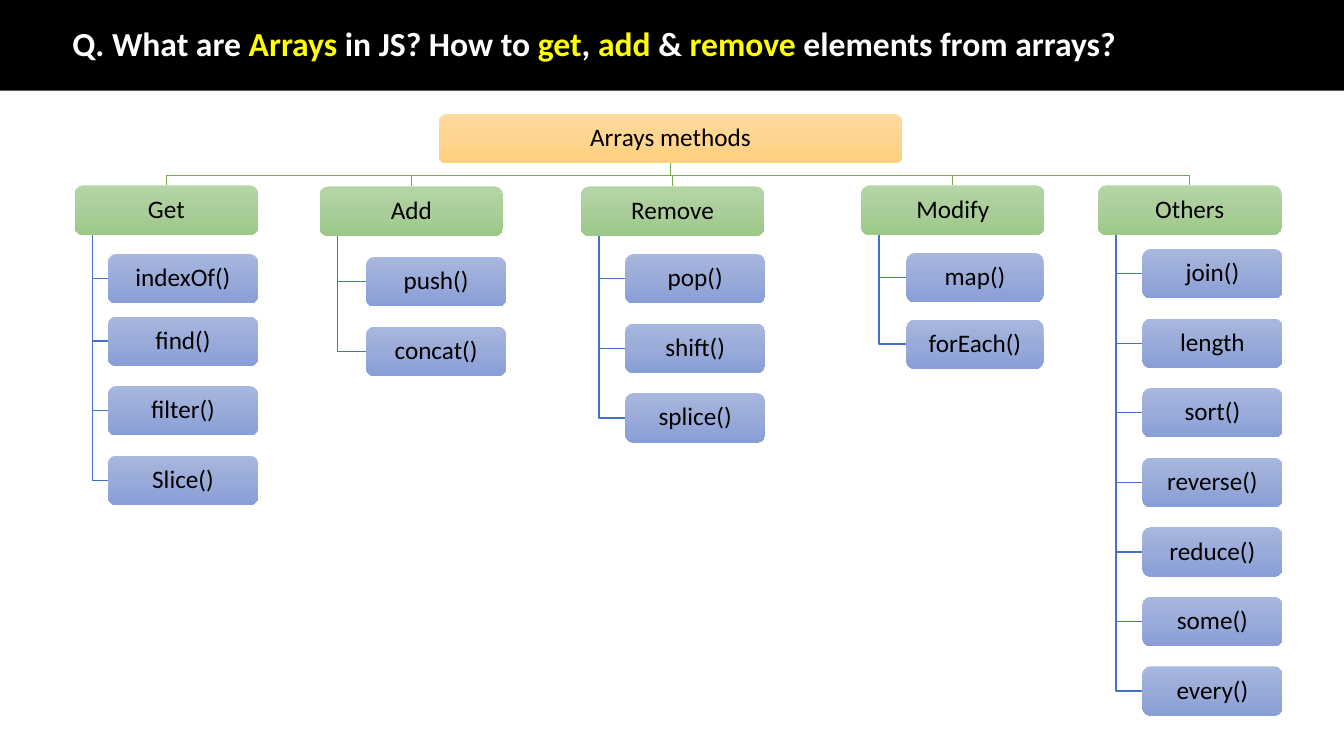
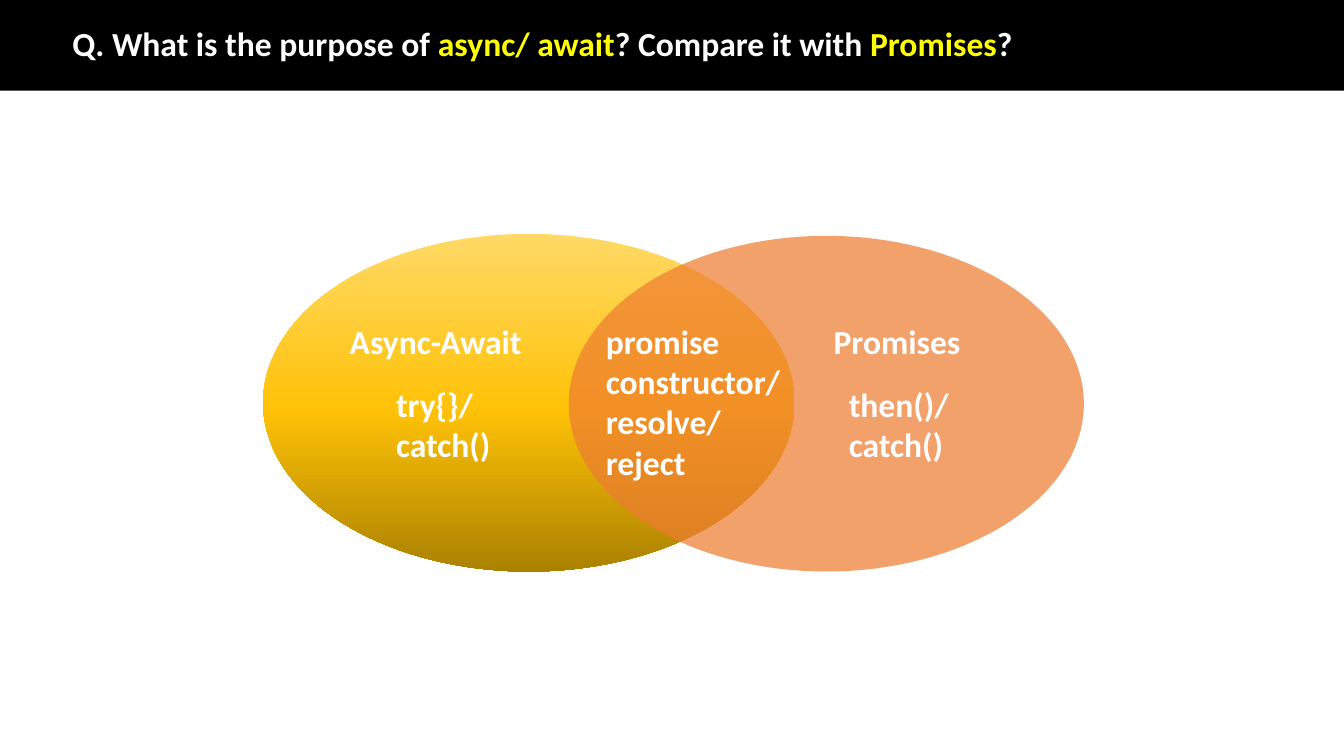
from collections import namedtuple
from copy import deepcopy

from lxml.etree import SubElement
from pptx import Presentation
from pptx.dml.color import RGBColor
from pptx.enum.shapes import MSO_SHAPE as Preset
from pptx.enum.text import MSO_ANCHOR as Anchor, PP_ALIGN as Align
from pptx.oxml.ns import qn
from pptx.util import Inches, Pt

FONT = "Calibri"
BLACK, WHITE, YELLOW = "000000", "FFFFFF", "FFFF00"
GREEN_LINE, BLUE_LINE = "70AD47", "4472C4"
ORANGE = "ED7D31"
ROOT_FILL = [(0, "FFDB9E"), (0.5, "FFD590"), (1, "FFD07C")]
GROUP_FILL = [(0, "B5D5A7"), (0.5, "AACE9A"), (1, "9CC987")]
METHOD_FILL = [(0, "A8B7DF"), (0.5, "9AABD9"), (1, "889ED7")]
GOLD_FILL = [(0, "FFD966"), (0.52, "FFC208"), (1, "AB8100")]

BOX_HEIGHT = 0.49
GROUP_WIDTH = 1.82
ROW_PITCH = 0.69
STEM_INSET = 0.18
ROOT_LEFT, ROOT_TOP, ROOT_WIDTH = 4.35, 1.13, 4.6
BUS_Y = 1.74

Group = namedtuple("Group", "name left top method_left method_width tops methods")


def rows(first, count):
    return [first + ROW_PITCH * index for index in range(count)]


GROUPS = [
    Group("Get", 0.74, 1.84, 1.07, 1.49, [2.52] + rows(3.14, 3),
          ["indexOf()", "find()", "filter()", "Slice()"]),
    Group("Add", 3.17, 1.85, 3.63, 1.39, rows(2.55, 2), ["push()", "concat()"]),
    Group("Remove", 5.76, 1.85, 6.2, 1.39, rows(2.52, 3),
          ["pop()", "shift()", "splice()"]),
    Group("Modify", 8.54, 1.84, 8.99, 1.36, [2.51, 3.17], ["map()", "forEach()"]),
    Group("Others", 10.89, 1.84, 11.33, 1.39, rows(2.47, 7),
          ["join()", "length", "sort()", "reverse()", "reduce()", "some()", "every()"]),
]


def color(value):
    return RGBColor.from_string(value)


def write(shape, runs, size, bold=False, align=Align.LEFT, spacing=1.0):
    shape.text_frame.word_wrap = True
    paragraph = shape.text_frame.paragraphs[0]
    paragraph.alignment = align
    paragraph.line_spacing = spacing
    for text, text_color in runs:
        run = paragraph.add_run()
        run.text = text
        run.font.name = FONT
        run.font.size = Pt(size)
        run.font.bold = bold
        run.font.color.rgb = color(text_color)


def add_preset(slide, preset, left, top, width, height):
    shape = slide.shapes.add_shape(
        preset, Inches(left), Inches(top), Inches(width), Inches(height))
    shape.shadow.inherit = False
    shape.line.fill.background()
    return shape


def fill_solid(shape, value, opacity=100):
    shape.fill.solid()
    shape.fill.fore_color.rgb = color(value)
    if opacity < 100:
        rgb = shape.fill._xPr.find(".//" + qn("a:srgbClr"))
        SubElement(rgb, qn("a:alpha")).set("val", str(opacity * 1000))


def fill_gradient(shape, stops):
    shape.fill.gradient()
    shape.fill.gradient_angle = 270
    stop_list = shape.fill._xPr.find(".//" + qn("a:gsLst"))
    stop_list.append(deepcopy(stop_list[0]))
    for stop, (position, value) in zip(shape.fill.gradient_stops, stops):
        stop.position = position
        stop.color.rgb = color(value)


def add_text_box(slide, left, top, width, height, runs, spacing=1.0):
    box = slide.shapes.add_textbox(
        Inches(left), Inches(top), Inches(width), Inches(height))
    write(box, runs, 24, bold=True, spacing=spacing)
    return box


def add_title_slide(presentation, segments):
    slide = presentation.slides.add_slide(presentation.slide_layouts[6])
    fill_solid(add_preset(slide, Preset.RECTANGLE, 0, 0, 13.33, 0.9), BLACK)
    runs = [(text, YELLOW if index % 2 else WHITE)
            for index, text in enumerate(segments)]
    title = add_text_box(slide, 0.62, 0.28, 11.5, 0.35, runs, spacing=0.9)
    title.text_frame.vertical_anchor = Anchor.MIDDLE
    return slide


def add_node(slide, text, left, top, width, stops):
    node = add_preset(slide, Preset.FLOWCHART_ALTERNATE_PROCESS,
                      left, top, width, BOX_HEIGHT)
    fill_gradient(node, stops)
    frame = node.text_frame
    frame.margin_left = frame.margin_right = Inches(0.01)
    frame.margin_top = frame.margin_bottom = Inches(0.01)
    frame.vertical_anchor = Anchor.MIDDLE
    write(node, [(text, BLACK)], 18, align=Align.CENTER, spacing=0.9)


def add_polyline(slide, points, line_color):
    start, *others = [(Inches(x), Inches(y)) for x, y in points]
    builder = slide.shapes.build_freeform(*start)
    builder.add_line_segments(others, close=False)
    line = builder.convert_to_shape()
    line.shadow.inherit = False
    line.fill.background()
    line.line.color.rgb = color(line_color)
    line.line.width = Pt(1)


def add_group(slide, group):
    root_x = ROOT_LEFT + ROOT_WIDTH / 2
    group_x = group.left + GROUP_WIDTH / 2
    add_polyline(slide, [(root_x, ROOT_TOP + BOX_HEIGHT), (root_x, BUS_Y),
                         (group_x, BUS_Y), (group_x, group.top)], GREEN_LINE)
    stem_x = group.left + STEM_INSET
    for top, method in zip(group.tops, group.methods):
        middle = top + BOX_HEIGHT / 2
        add_polyline(slide, [(stem_x, group.top + BOX_HEIGHT), (stem_x, middle),
                             (group.method_left, middle)], BLUE_LINE)
        add_node(slide, method, group.method_left, top,
                 group.method_width, METHOD_FILL)
    add_node(slide, group.name, group.left, group.top, GROUP_WIDTH, GROUP_FILL)


def build_array_methods(presentation):
    slide = add_title_slide(presentation, [
        "Q. What are ", "Arrays", " in JS? How to ", "get", ", ", "add",
        " & ", "remove", " elements from arrays?"])
    for group in GROUPS:
        add_group(slide, group)
    add_node(slide, "Arrays methods", ROOT_LEFT, ROOT_TOP, ROOT_WIDTH, ROOT_FILL)


def build_async_comparison(presentation):
    slide = add_title_slide(presentation, [
        "Q. What is the purpose of ", "async/ await",
        "? Compare it with ", "Promises", "?"])
    fill_gradient(add_preset(slide, Preset.OVAL, 2.61, 2.32, 5.27, 3.35), GOLD_FILL)
    fill_solid(add_preset(slide, Preset.OVAL, 5.64, 2.34, 5.11, 3.33), ORANGE, 72)
    for text, left, top, width, height in [
        ("promise constructor/ resolve/ reject", 5.91, 3.13, 2.08, 1.72),
        ("then()/ catch()", 8.32, 3.76, 1.56, 0.91),
        ("try{}/ catch()", 3.83, 3.76, 1.32, 0.91),
        ("Async-Await", 3.37, 3.13, 2.24, 0.5),
        ("Promises", 8.17, 3.13, 2.24, 0.5),
    ]:
        add_text_box(slide, left, top, width, height, [(text, WHITE)])


def main():
    presentation = Presentation()
    presentation.slide_width = Inches(13.33)
    presentation.slide_height = Inches(7.5)
    build_array_methods(presentation)
    build_async_comparison(presentation)
    presentation.save("out.pptx")


if __name__ == "__main__":
    main()
